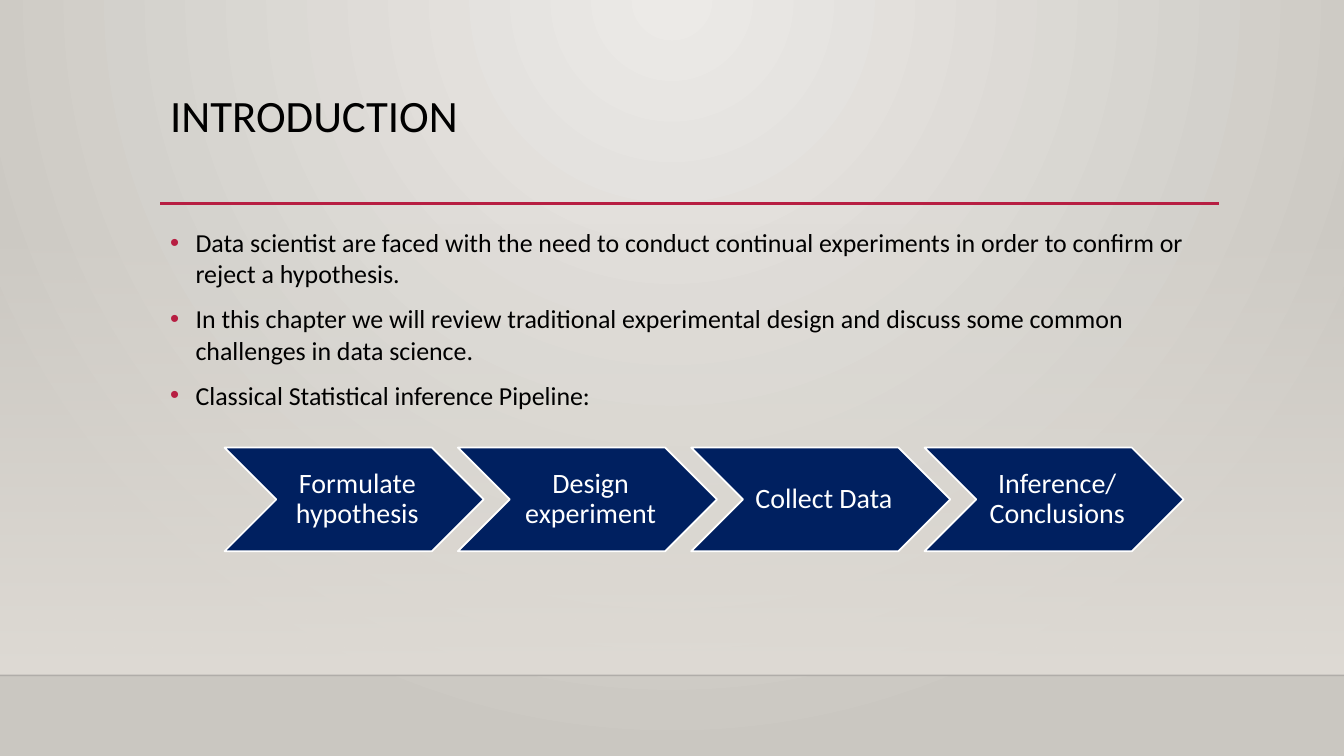
from lxml.etree import SubElement
from pptx import Presentation
from pptx.dml.color import RGBColor
from pptx.enum.shapes import MSO_CONNECTOR as Connector, MSO_SHAPE as Shape
from pptx.enum.text import MSO_ANCHOR as Anchor, PP_ALIGN as Align
from pptx.oxml.ns import qn
from pptx.util import Cm, Pt

COLORS = {
    "glow": "ECEAE7", "edge": "CAC7C1", "wall": "DFDBD5", "floor": "000001",
    "accent": "B71E42", "ink": "000000", "step": "002060", "white": "FFFFFF",
}
FONT = "Calibri"
WIDTH, HEIGHT = 33.87, 19.05
FLOOR_TOP = 17.02
MARGIN, CONTENT_WIDTH = 4.04, 26.67

POINTS = [
    "Data scientist are faced with the need to conduct continual experiments "
    "in order to confirm or reject a hypothesis. ",
    "In this chapter we will review traditional experimental design and "
    "discuss some common challenges in data science.",
    "Classical Statistical inference Pipeline:",
]
STEPS = ["Formulate hypothesis", "Design experiment", "Collect Data",
         "Inference/ Conclusions"]
STEP_LEFT, STEP_TOP, STEP_PITCH = 5.66, 11.28, 5.88
STEP_WIDTH, STEP_HEIGHT = 6.53, 2.61
LABEL_INSET, LABEL_WIDTH = 1.31, 3.92


def rgb(name):
    return RGBColor.from_string(COLORS[name])


def set_gradient(fill, start, end):
    fill.gradient()
    for stop, name, position in zip(fill.gradient_stops, (start, end), (0, 1)):
        stop.color.rgb = rgb(name)
        stop.position = position


def set_alpha(color, percent):
    SubElement(color, qn("a:alpha"), val=str(percent * 1000))


def paint_background(slide):
    set_gradient(slide.background.fill, "glow", "edge")
    gradient = slide.element.find(".//" + qn("a:gradFill"))
    gradient.remove(gradient.find(qn("a:lin")))
    radial = SubElement(gradient, qn("a:path"), path="circle")
    SubElement(radial, qn("a:fillToRect"), l="43000", t="0", r="43000", b="100000")


def add_wall(slide, top):
    wall = slide.shapes.add_shape(
        Shape.RECTANGLE, 0, Cm(top), Cm(WIDTH), Cm(FLOOR_TOP - top))
    wall.shadow.inherit = False
    wall.line.fill.background()
    set_gradient(wall.fill, "wall", "wall")
    wall.fill.gradient_angle = 270
    set_alpha(wall.element.find(".//" + qn("a:srgbClr")), 0)


def add_rule(slide, left, right, y, color, weight, alpha=100):
    rule = slide.shapes.add_connector(
        Connector.STRAIGHT, Cm(left), Cm(y), Cm(right), Cm(y))
    rule.line.color.rgb = rgb(color)
    rule.line.width = Pt(weight)
    if alpha < 100:
        set_alpha(rule.element.find(".//" + qn("a:srgbClr")), alpha)
    SubElement(rule.element.spPr, qn("a:effectLst"))


def add_text(slide, left, top, width, height, lines, size, color):
    box = slide.shapes.add_textbox(Cm(left), Cm(top), Cm(width), Cm(height))
    frame = box.text_frame
    frame.word_wrap = True
    frame.text = "\n".join(lines)
    for paragraph in frame.paragraphs:
        for run in paragraph.runs:
            run.font.name = FONT
            run.font.size = Pt(size)
            run.font.color.rgb = rgb(color)
    return frame


def add_bullet(paragraph):
    paragraph.space_before = Pt(10)
    properties = paragraph._p.get_or_add_pPr()
    properties.set("marL", str(Cm(0.64)))
    properties.set("indent", str(-Cm(0.64)))
    bullet_color = SubElement(properties, qn("a:buClr"))
    SubElement(bullet_color, qn("a:srgbClr"), val=COLORS["accent"])
    SubElement(properties, qn("a:buFont"), typeface="Arial")
    SubElement(properties, qn("a:buChar"), char="•")


def add_step(slide, left, label):
    chevron = slide.shapes.add_shape(
        Shape.CHEVRON, Cm(left), Cm(STEP_TOP), Cm(STEP_WIDTH), Cm(STEP_HEIGHT))
    chevron.shadow.inherit = False
    chevron.fill.solid()
    chevron.fill.fore_color.rgb = rgb("step")
    chevron.line.color.rgb = rgb("white")
    chevron.line.width = Pt(1.25)
    frame = add_text(slide, left + LABEL_INSET, STEP_TOP, LABEL_WIDTH,
                     STEP_HEIGHT, [label], 20, "white")
    frame.vertical_anchor = Anchor.MIDDLE
    frame.margin_left = Cm(0.23)
    frame.margin_top = frame.margin_right = frame.margin_bottom = Cm(0.08)
    frame.paragraphs[0].alignment = Align.CENTER
    frame.paragraphs[0].line_spacing = 0.9


def main():
    deck = Presentation()
    deck.slide_width, deck.slide_height = Cm(WIDTH), Cm(HEIGHT)
    slide = deck.slides.add_slide(deck.slide_layouts[6])
    paint_background(slide)
    add_wall(slide, 5.61)
    add_rule(slide, 0, WIDTH, FLOOR_TOP, "floor", 1, alpha=20)
    add_rule(slide, MARGIN, 30.73, 5.13, "accent", 2.5)

    title = add_text(slide, MARGIN, 2.24, CONTENT_WIDTH, 2.92,
                     ["INTRODUCTION"], 32, "ink")
    title.paragraphs[0].line_spacing = 0.9
    body = add_text(slide, MARGIN, 5.59, CONTENT_WIDTH, 5.26, POINTS, 18.5, "ink")
    for paragraph in body.paragraphs:
        add_bullet(paragraph)

    for index, label in enumerate(STEPS):
        add_step(slide, STEP_LEFT + index * STEP_PITCH, label)
    deck.save("out.pptx")


main()
